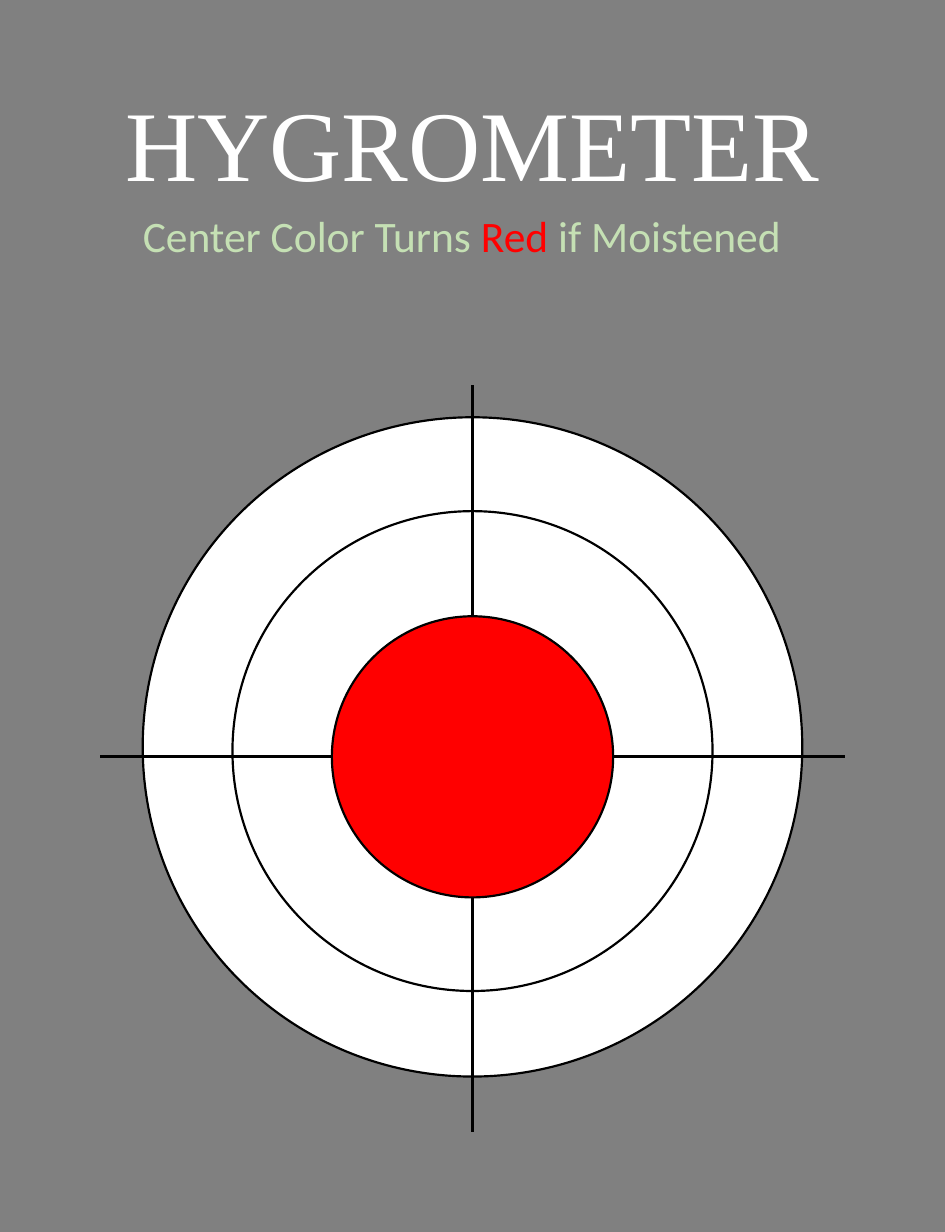
import pptx
import pptx.dml.color
import pptx.enum.shapes
import pptx.enum.text
import pptx.oxml.ns
import pptx.util
from lxml import etree

Inches = pptx.util.Inches
Pt = pptx.util.Pt
RGBColor = pptx.dml.color.RGBColor

GRAY = RGBColor(0x80, 0x80, 0x80)
WHITE = RGBColor(0xFF, 0xFF, 0xFF)
BLACK = RGBColor(0x00, 0x00, 0x00)
RED = RGBColor(0xFF, 0x00, 0x00)
PALE_GREEN = RGBColor(0xC5, 0xE0, 0xB4)

SLIDE_WIDTH, SLIDE_HEIGHT = 18.11, 23.62


def add_backdrop(slide, left, top, width, height):
    """Put a gray panel behind everything else on the slide."""
    panel = slide.shapes.add_shape(
        pptx.enum.shapes.MSO_SHAPE.RECTANGLE,
        Inches(left), Inches(top), Inches(width), Inches(height))
    panel.shadow.inherit = False
    panel.fill.solid()
    panel.fill.fore_color.rgb = GRAY
    panel.line.fill.background()
    slide.shapes.element.insert(2, panel.element)


def fill_heading(placeholder, left, top, width, height, font_name, size, parts):
    """Place a centred one-line heading made of (text, color) parts."""
    placeholder.left, placeholder.top = Inches(left), Inches(top)
    placeholder.width, placeholder.height = Inches(width), Inches(height)
    text_frame = placeholder.text_frame
    text_frame.word_wrap = True
    text_frame.auto_size = pptx.enum.text.MSO_AUTO_SIZE.SHAPE_TO_FIT_TEXT
    text_frame.vertical_anchor = pptx.enum.text.MSO_ANCHOR.TOP
    paragraph = text_frame.paragraphs[0]
    paragraph.alignment = pptx.enum.text.PP_ALIGN.CENTER
    paragraph.space_before = Pt(0)
    for text, color in parts:
        run = paragraph.add_run()
        run.text = text
        run.font.name = font_name
        run.font.size = Pt(size)
        run.font.color.rgb = color


def add_disc(slide, center_x, center_y, diameter, color):
    disc = slide.shapes.add_shape(
        pptx.enum.shapes.MSO_SHAPE.OVAL,
        Inches(center_x - diameter / 2), Inches(center_y - diameter / 2),
        Inches(diameter), Inches(diameter))
    disc.shadow.inherit = False
    disc.fill.solid()
    disc.fill.fore_color.rgb = color
    disc.line.color.rgb = BLACK
    disc.line.width = Pt(3)


def add_hair(slide, start_x, start_y, end_x, end_y):
    hair = slide.shapes.add_connector(
        pptx.enum.shapes.MSO_CONNECTOR.STRAIGHT,
        Inches(start_x), Inches(start_y), Inches(end_x), Inches(end_y))
    hair.line.color.rgb = BLACK
    hair.line.width = Pt(4.5)
    etree.SubElement(hair.element.spPr, pptx.oxml.ns.qn("a:effectLst"))


def add_target(slide, left, top, width, height):
    """Draw rings, crosshair and bullseye; the crosshair spans the box."""
    center_x = left + width / 2
    hair_y = top + 7.12
    add_disc(slide, center_x, hair_y - 0.19, 12.64, WHITE)
    add_disc(slide, center_x, hair_y - 0.11, 9.2, WHITE)
    add_hair(slide, left, hair_y, left + width, hair_y)
    add_hair(slide, center_x, top, center_x, top + height)
    add_disc(slide, center_x, hair_y, 5.39, RED)


def main():
    presentation = pptx.Presentation()
    presentation.slide_width = Inches(SLIDE_WIDTH)
    presentation.slide_height = Inches(SLIDE_HEIGHT)
    slide = presentation.slides.add_slide(presentation.slide_layouts[0])

    add_backdrop(slide, 0, 0, SLIDE_WIDTH, SLIDE_HEIGHT)
    fill_heading(slide.shapes.title, 1.28, 1.52, 15.55, 2.42,
                 "Times New Roman", 138, [("HYGROMETER", WHITE)])
    add_target(slide, 1.92, 7.39, 14.27, 14.31)
    fill_heading(slide.placeholders[1], 2.33, 3.96, 13.04, 1.11, "Calibri", 60,
                 [("Center Color Turns ", PALE_GREEN), ("Red", RED),
                  (" if Moistened", PALE_GREEN)])
    presentation.save("out.pptx")


if __name__ == "__main__":
    main()
